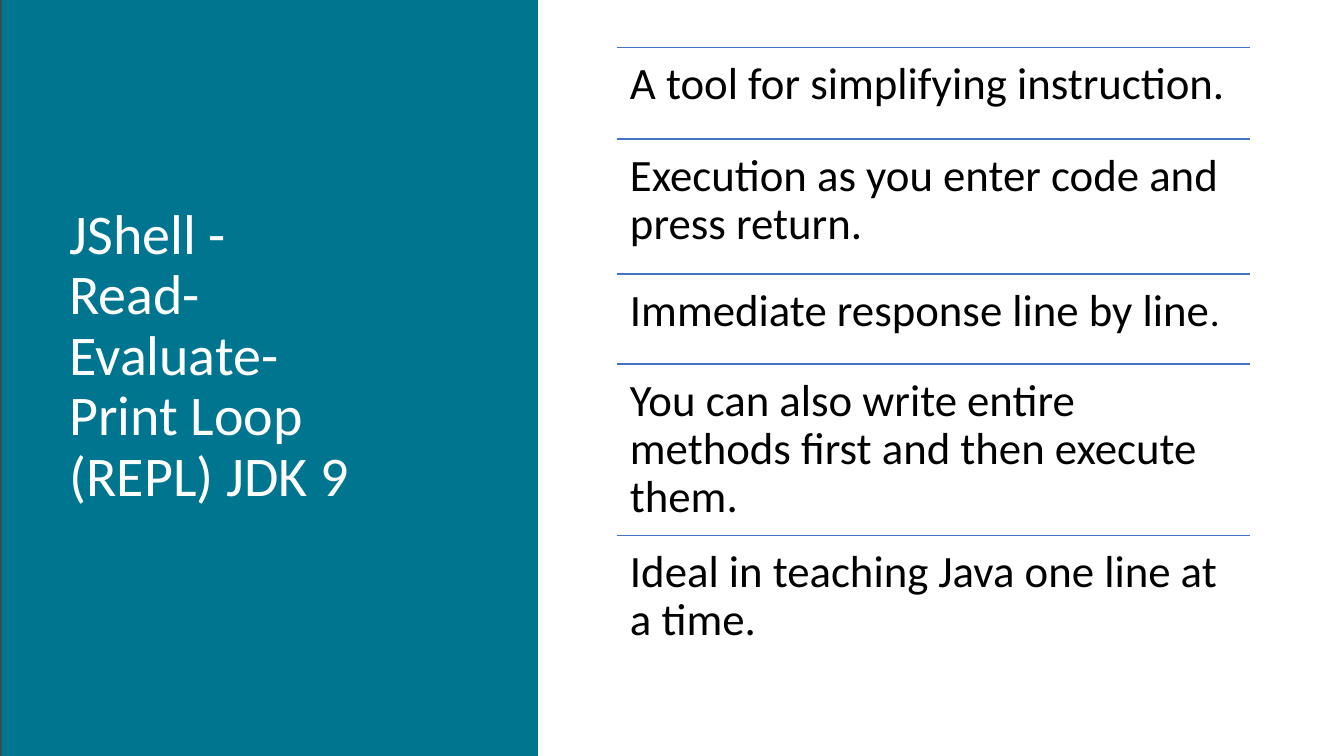
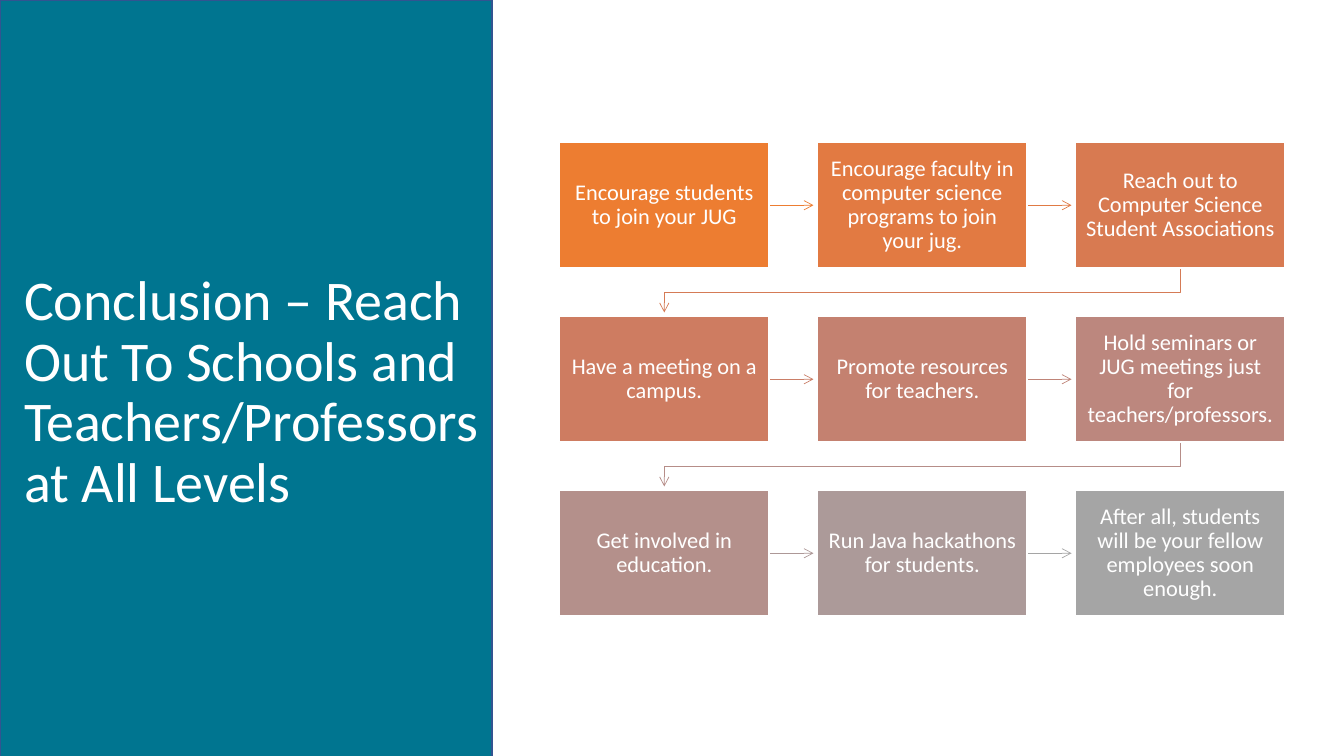
from itertools import pairwise

from lxml.etree import SubElement
from pptx import Presentation
from pptx.dml.color import RGBColor
from pptx.enum.shapes import MSO_CONNECTOR as Connector, MSO_SHAPE as Shape
from pptx.enum.text import MSO_ANCHOR as Anchor, MSO_AUTO_SIZE as AutoSize, PP_ALIGN as Align
from pptx.oxml.ns import qn
from pptx.util import Pt

COLORS = {
    "panel": "007590",
    "panel_edge": "325491",
    "strip": "454545",
    "rule": "4472C4",
    "light": "FFFFFF",
    "dark": "000000",
}
FONT = "Calibri"
SLIDE_WIDTH, SLIDE_HEIGHT = 960, 540

FEATURES = [
    (33.84, ["A tool for simplifying instruction."]),
    (99.36, ["Execution as you enter code and press return."]),
    (195.84, ["Immediate response line by line", "."]),
    (259.92, ["You can also write entire methods first and then execute them."]),
    (382.32, ["Ideal in teaching Java one line at a time."]),
]
FEATURES_BOTTOM = 504.72

STEPS = [
    ("Encourage students to join your JUG", "ED7D31", "ED7D31"),
    ("Encourage faculty in computer science programs to join your jug.", "E27A42", "E07A44"),
    ("Reach out to Computer Science Student Associations", "D87A51", "D57B56"),
    ("Have a meeting on a campus.", "CE7C61", "CA7E67"),
    ("Promote resources for teachers.", "C48170", "BF8478"),
    ("Hold seminars or JUG meetings just for teachers/professors.", "BC877E", "B68D88"),
    ("Get involved in education.", "B4908B", "AD9897"),
    ("Run Java hackathons for students.", "AC9A99", "A5A5A5"),
    ("After all, students will be your fellow employees soon enough.", "A5A5A5", None),
]


class SlideWriter:
    def __init__(self, deck):
        self.deck = deck
        self.page = None

    def new_page(self):
        self.page = self.deck.slides.add_slide(self.deck.slide_layouts[5])

    def format_text(self, frame, size, color, align=Align.LEFT, anchor=Anchor.TOP):
        frame.word_wrap = True
        frame.auto_size = AutoSize.NONE
        frame.vertical_anchor = anchor
        for para in frame.paragraphs:
            para.alignment = align
            para.line_spacing = 0.9
            for span in para.runs:
                span.font.name = FONT
                span.font.size = Pt(size)
                span.font.color.rgb = RGBColor.from_string(color)

    def title(self, text, left, top, width, height):
        title = self.page.shapes.title
        title.left, title.top, title.width, title.height = map(Pt, (left, top, width, height))
        title.text_frame.text = text
        self.format_text(title.text_frame, 40, COLORS["light"], anchor=Anchor.MIDDLE)

    def box(self, left, top, width, height, fill, edge=None):
        box = self.page.shapes.add_shape(Shape.RECTANGLE, *map(Pt, (left, top, width, height)))
        box.shadow.inherit = False
        box.fill.solid()
        box.fill.fore_color.rgb = RGBColor.from_string(fill)
        if edge:
            self.stroke(box, edge, 1)
        else:
            box.line.fill.background()
        return box

    def panel(self, *place, fill=COLORS["panel"], edge=None):
        panel = self.box(*place, fill, edge)
        self.page.shapes.title.element.addprevious(panel.element)

    def step(self, text, left, top, width, height, fill):
        box = self.box(left, top, width, height, fill, COLORS["light"])
        frame = box.text_frame
        frame.text = text
        frame.margin_left = frame.margin_right = Pt(7.2)
        frame.margin_top = frame.margin_bottom = Pt(7.7)
        self.format_text(frame, 16, COLORS["light"], Align.CENTER, Anchor.MIDDLE)

    def feature(self, parts, left, top, width, height):
        box = self.page.shapes.add_textbox(*map(Pt, (left, top, width, height)))
        frame = box.text_frame
        frame.margin_left = frame.margin_right = Pt(9.6)
        frame.margin_top = frame.margin_bottom = Pt(9.6)
        for part in parts:
            frame.paragraphs[0].add_run().text = part
        self.format_text(frame, 32, COLORS["dark"])
        for span in frame.paragraphs[0].runs[1:]:
            span.font.size = Pt(28)

    def stroke(self, shape, color, weight, arrow=False):
        shape.line.color.rgb = RGBColor.from_string(color)
        shape.line.width = Pt(weight)
        if arrow:
            SubElement(shape.element.spPr.find(qn("a:ln")), qn("a:tailEnd"), type="arrow")

    def line(self, start, end, color, weight, arrow=False):
        line = self.page.shapes.add_connector(Connector.STRAIGHT, *map(Pt, (*start, *end)))
        self.stroke(line, color, weight, arrow)
        SubElement(line.element.spPr, qn("a:effectLst"))

    def bent_arrow(self, points, color):
        start, *rest = [(Pt(x), Pt(y)) for x, y in points]
        builder = self.page.shapes.build_freeform(*start)
        builder.add_line_segments(rest, close=False)
        arrow = builder.convert_to_shape()
        arrow.shadow.inherit = False
        arrow.fill.background()
        self.stroke(arrow, color, 0.5, arrow=True)


def jshell_slide(writer):
    writer.new_page()
    writer.panel(0, 0, 2, SLIDE_HEIGHT, fill=COLORS["strip"])
    writer.panel(1.2, 0, 383, SLIDE_HEIGHT)
    writer.title("JShell - Read-Evaluate-Print Loop (REPL) JDK 9", 42.5, 54, 219, 402)
    left, width = 440.4, 452.6
    tops = [top for top, parts in FEATURES] + [FEATURES_BOTTOM]
    for (top, bottom), (_, parts) in zip(pairwise(tops), FEATURES):
        writer.line((left, top), (left + width, top), COLORS["rule"], 1)
        writer.feature(parts, left, top, width, bottom - top)


def conclusion_slide(writer):
    writer.new_page()
    writer.panel(0, 0, 351.4, 549, edge=COLORS["panel_edge"])
    writer.title(
        "Conclusion – Reach Out To Schools and Teachers/Professors at All Levels",
        10, 74, 341.4, 414,
    )
    columns = 3
    left, top, width, height = 399.6, 101.7, 149.8, 89.8
    column_step, row_step = 184.3, 124.3
    reach, bend = 31.7, 17.5
    for index, (text, fill, arrow_color) in enumerate(STEPS):
        row, column = divmod(index, columns)
        x, y = left + column * column_step, top + row * row_step
        right, bottom, middle = x + width, y + height, y + height / 2
        if arrow_color and column < columns - 1:
            writer.line((right, middle), (right + reach, middle), arrow_color, 0.5, arrow=True)
        elif arrow_color:
            center, target = x + width / 2, left + width / 2
            writer.bent_arrow(
                [(center, bottom), (center, bottom + bend),
                 (target, bottom + bend), (target, bottom + reach)],
                arrow_color,
            )
        writer.step(text, x, y, width, height, fill)


def main():
    deck = Presentation()
    deck.slide_width, deck.slide_height = Pt(SLIDE_WIDTH), Pt(SLIDE_HEIGHT)
    writer = SlideWriter(deck)
    jshell_slide(writer)
    conclusion_slide(writer)
    deck.save("out.pptx")


if __name__ == "__main__":
    main()
